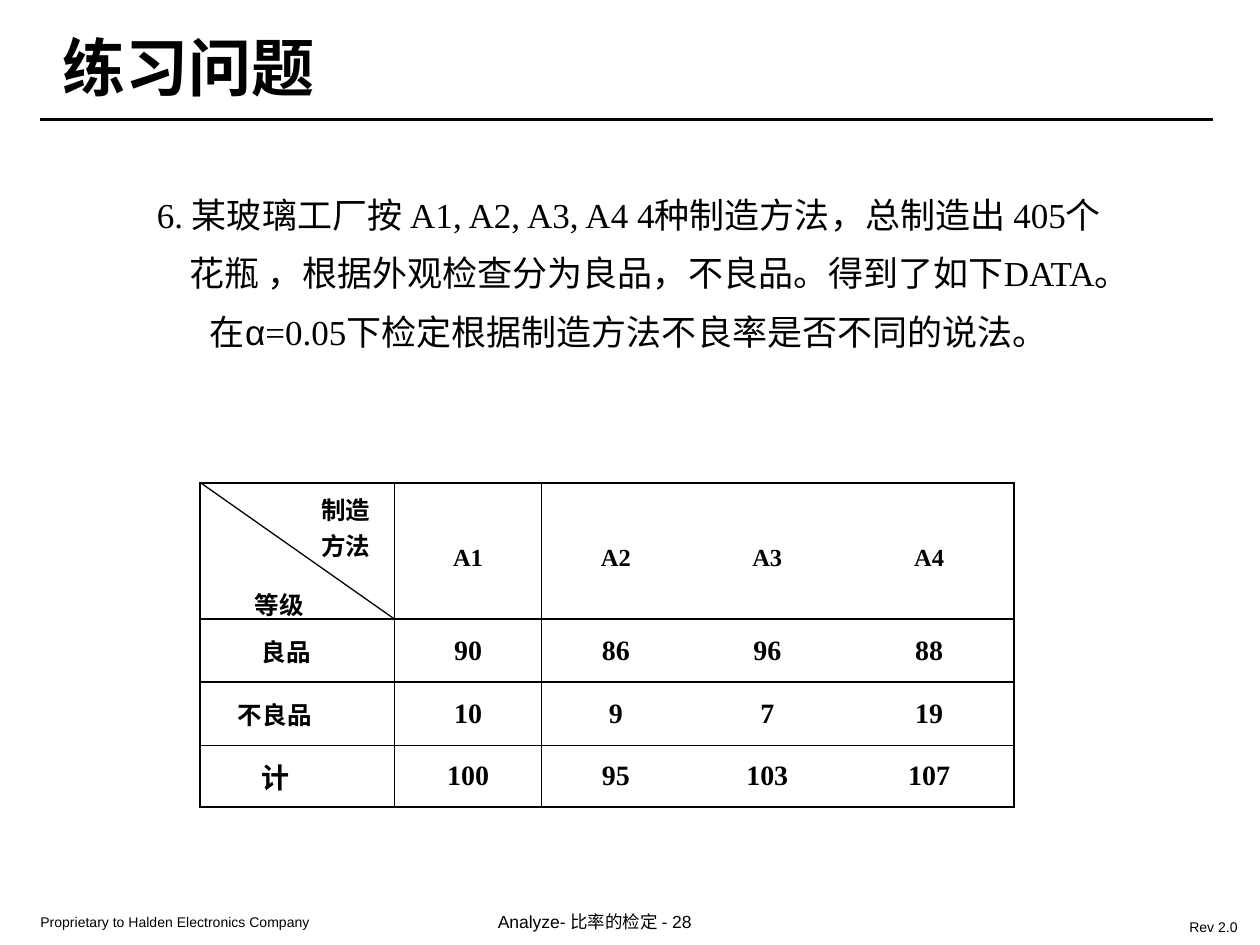
from lxml import etree
from pptx import Presentation
from pptx.dml.color import RGBColor
from pptx.enum.shapes import MSO_CONNECTOR
from pptx.enum.text import MSO_ANCHOR, PP_ALIGN
from pptx.oxml.ns import qn
from pptx.util import Pt

LEFT, CENTER, RIGHT = PP_ALIGN.LEFT, PP_ALIGN.CENTER, PP_ALIGN.RIGHT
MIDDLE, TOP = MSO_ANCHOR.MIDDLE, MSO_ANCHOR.TOP
STRAIGHT = MSO_CONNECTOR.STRAIGHT
SERIF, SANS, CJK = "Times New Roman", "Arial", "Noto Sans CJK KR"
BLACK = "000000"
NO_STYLE = "{2D5ABB26-0587-4C30-8999-92F81FD0307C}"


def add_text(p, text, size=14, font=SERIF, bold=False, color=BLACK, align=LEFT):
    p.alignment = align
    r = p.add_run()
    r.text = text
    r.font.size = Pt(size)
    r.font.name = font
    r.font.bold = bold
    r.font.color.rgb = RGBColor.from_string(color)


def add_box(x, y, w, h, mx=7.2, my=3.6, wrap=True):
    tf = slide.shapes.add_textbox(Pt(x), Pt(y), Pt(w), Pt(h)).text_frame
    tf.word_wrap = wrap
    tf.margin_left = tf.margin_right = Pt(mx)
    tf.margin_top = tf.margin_bottom = Pt(my)
    return tf


prs = Presentation()
prs.slide_width, prs.slide_height = Pt(720), Pt(540)
slide = prs.slides.add_slide(prs.slide_layouts[6])

footers = [
    ("Proprietary to Halden Electronics Company", 14.4, 517.5, 231, 18, 8, True),
    ("Analyze- 比率的检定 - 28", 275.8, 516, 168, 21, 10, True),
    ("Rev 2.0", 671, 520.8, 45.4, 18, 8, False),
]
for text, x, y, w, h, size, wrap in footers:
    tf = add_box(x, y, w, h, mx=8.64, my=4.32, wrap=wrap)
    add_text(tf.paragraphs[0], text, size=size, font=SANS)

tf = add_box(28.8, 13, 158.4, 50.4, wrap=False)
add_text(tf.paragraphs[0], "练习问题", size=36, font=CJK, bold=True)

tf = add_box(57, 97.2, 604.8, 108)
question = tf.paragraphs[0]
add_text(question, "6. 某玻璃工厂按 A1, A2, A3, A4 4种制造方法，总制造出 405个", size=20, align=CENTER)
detail = tf.add_paragraph()
detail_runs = [
    ("花瓶 ，根据外观检查分为良品，不良品。得到了如下DATA。 在", SERIF),
    ("α", SANS),
    ("=0.05下检定根据制造方法不良率是否不同的说法。", SERIF),
]
for text, font in detail_runs:
    add_text(detail, text, size=20, font=font, align=CENTER)
detail._p.get_or_add_pPr().set("indent", str(Pt(35)))
for p in (question, detail):
    p.line_spacing = 1.4

left, top = 114.5, 275.8
widths = [111, 84, 85, 88, 97]
heights = [78, 36, 36, 35.5]
rows = [
    ["", "A1", "A2", "A3", "A4"],
    ["良品", "90", "86", "96", "88"],
    ["不良品", "10", "9", "7", "19"],
    ["计", "100", "95", "103", "107"],
]
label_indents = [31, 35, 21.5, 35]
row_lines = [1.5, 1.5, 0, 0.75, 1.5]
col_lines = [1.5, 0.75, 0, 0, 0, 1.5]

frame = slide.shapes.add_table(4, 5, Pt(left), Pt(top), Pt(sum(widths)), Pt(sum(heights)))
table = frame.table
table.first_row = table.horz_banding = False
table._tbl.tblPr.find(qn("a:tableStyleId")).text = NO_STYLE
for col, w in zip(table.columns, widths):
    col.width = Pt(w)
for row, h in zip(table.rows, heights):
    row.height = Pt(h)

for i, values in enumerate(rows):
    for j, value in enumerate(values):
        cell = table.cell(i, j)
        cell.margin_left = Pt(label_indents[i] if j == 0 else 0)
        cell.margin_right = cell.margin_bottom = Pt(0)
        cell.margin_top = Pt(8 if i == 0 else 0)
        cell.vertical_anchor = MIDDLE
        tcPr = cell._tc.get_or_add_tcPr()
        edges = [("a:lnL", col_lines[j]), ("a:lnR", col_lines[j + 1]),
                 ("a:lnT", row_lines[i]), ("a:lnB", row_lines[i + 1])]
        for tag, width in edges:
            if width:
                ln = etree.SubElement(tcPr, qn(tag), w=str(Pt(width)))
                fill = etree.SubElement(ln, qn("a:solidFill"))
                etree.SubElement(fill, qn("a:srgbClr"), val=BLACK)
        cell.fill.background()
        if value:
            size = 14 if i == 0 or value in ("良品", "不良品") else 16
            add_text(cell.text_frame.paragraphs[0], value, size=size, bold=True,
                     align=CENTER if j else LEFT)

corner = table.cell(0, 0)
corner.vertical_anchor = TOP
corner.margin_top, corner.margin_right = Pt(5), Pt(14)
p = corner.text_frame.paragraphs[0]
add_text(p, "制造", bold=True, align=RIGHT)
p.add_line_break()
add_text(p, "方法", bold=True, align=RIGHT)
p = corner.text_frame.add_paragraph()
p.space_before = Pt(13)
add_text(p, "等级", bold=True)

lines = [
    (23, 68.4, 693.4, 68.4, 1.5),
    (left, top, left + widths[0], top + heights[0], 0.75),
]
for x1, y1, x2, y2, width in lines:
    line = slide.shapes.add_connector(STRAIGHT, Pt(x1), Pt(y1), Pt(x2), Pt(y2))
    line.line.color.rgb = RGBColor.from_string(BLACK)
    line.line.width = Pt(width)
    etree.SubElement(line._element.spPr, qn("a:effectLst"))

prs.save("out.pptx")
